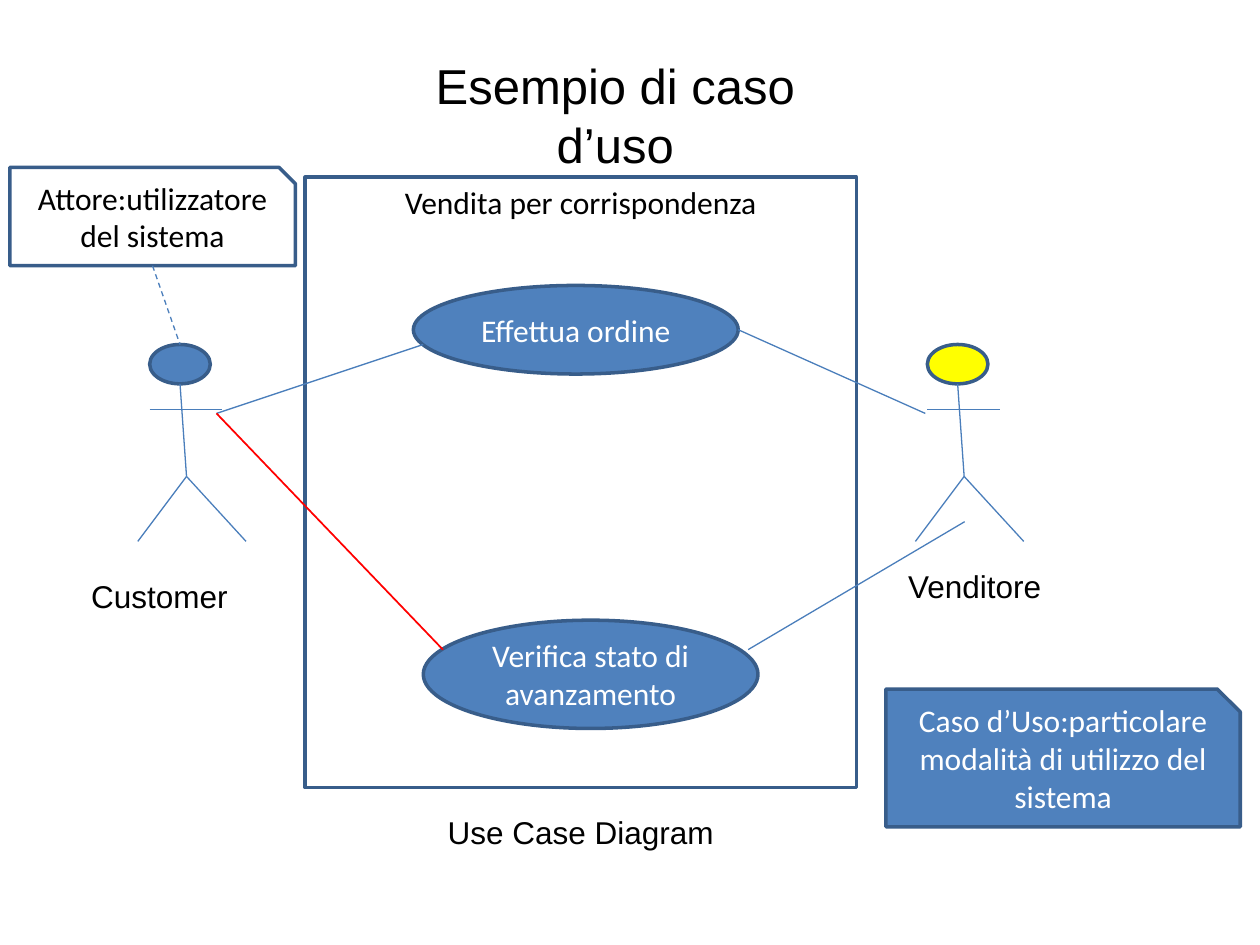
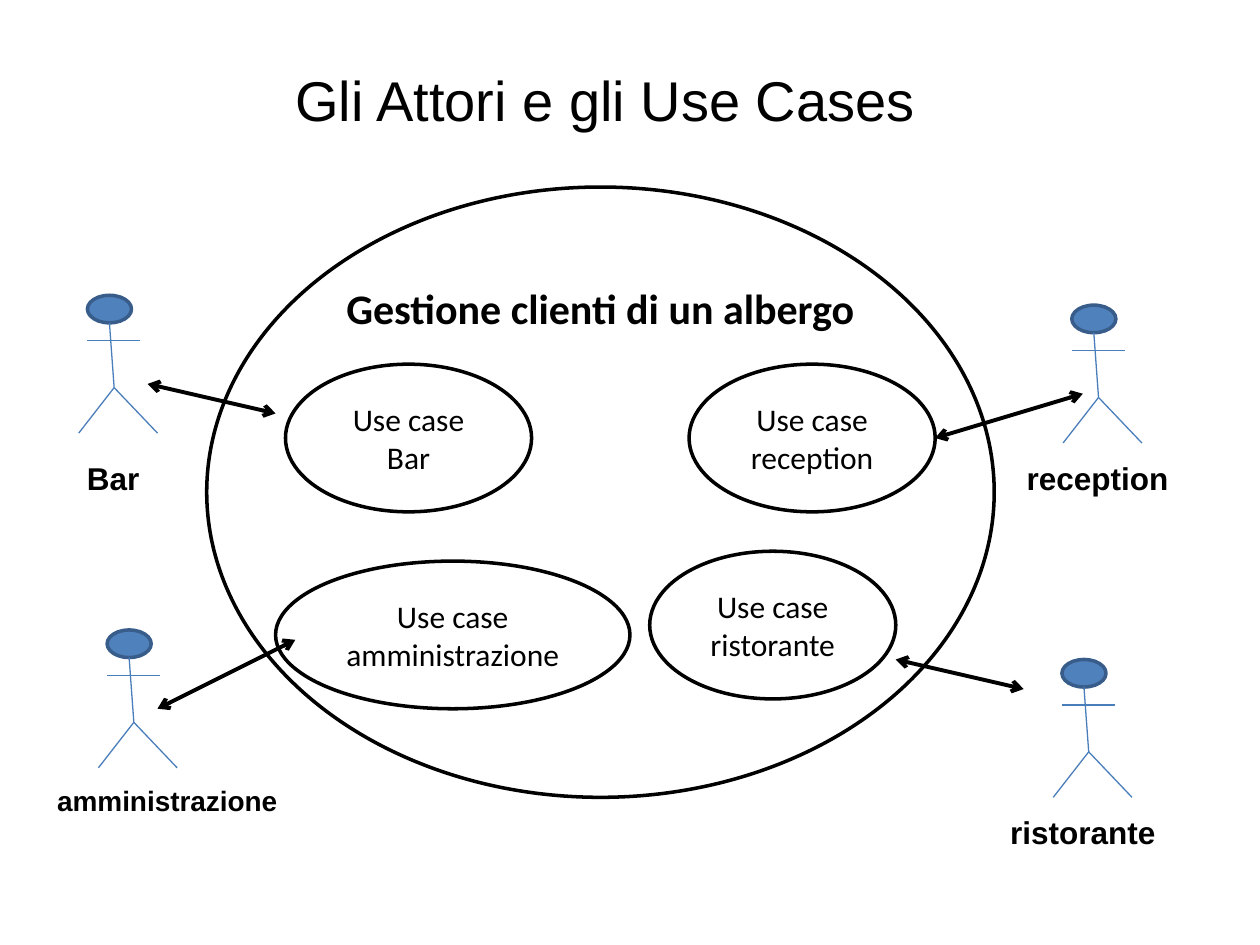
import pptx
import pptx.dml.color
import pptx.enum.dml
import pptx.enum.shapes
import pptx.enum.text
import pptx.oxml
import pptx.oxml.ns
import pptx.util

SLIDE_WIDTH, SLIDE_HEIGHT = pptx.util.Inches(10), pptx.util.Inches(7.5)
COLUMNS = 128  # square grid cells: 128 columns by 96 rows
CELL = SLIDE_WIDTH / COLUMNS
BLACK, WHITE, RED, YELLOW = "000000", "FFFFFF", "FF0000", "FFFF00"
BLUE, DARK_BLUE, LINE_BLUE = "4F81BD", "385D8A", "4A7EBB"
HEADING_FONT, SHAPE_FONT = "Arial", "Calibri"
LABEL_ROWS = 5.1

SHAPES = pptx.enum.shapes.MSO_SHAPE
ALIGN = pptx.enum.text.PP_ALIGN
ANCHOR = pptx.enum.text.MSO_ANCHOR


def grid(*cells):
    """Turn grid counts into slide lengths."""
    return [pptx.util.Emu(round(count * CELL)) for count in cells]


def rgb(color):
    return pptx.dml.color.RGBColor.from_string(color)


def write(shape, text, size=18, font=SHAPE_FONT, color=BLACK, bold=False,
          align=ALIGN.CENTER, anchor=ANCHOR.MIDDLE, wrap=True):
    frame = shape.text_frame
    frame.word_wrap = wrap
    frame.vertical_anchor = anchor
    frame.text = text
    for para in frame.paragraphs:
        para.alignment = align
        para.font.size = pptx.util.Pt(size)
        para.font.name = font
        para.font.bold = bold
        para.font.color.rgb = rgb(color)


def paint(shape, fill=None, line=DARK_BLUE):
    shape.shadow.inherit = False
    if fill:
        shape.fill.solid()
        shape.fill.fore_color.rgb = rgb(fill)
    else:
        shape.fill.background()
    shape.line.color.rgb = rgb(line)
    shape.line.width = pptx.util.Pt(2)


def add_titled_page(deck, title, area, size):
    page = deck.slides.add_slide(deck.slide_layouts[5])
    box = page.shapes.title
    box.left, box.top, box.width, box.height = grid(*area)
    write(box, title, size, HEADING_FONT, anchor=ANCHOR.TOP, wrap=False)
    box.text_frame.auto_size = pptx.enum.text.MSO_AUTO_SIZE.SHAPE_TO_FIT_TEXT
    return page


def add_figure(page, kind, area, text, fill=None, line=DARK_BLUE, **style):
    shape = page.shapes.add_shape(kind, *grid(*area))
    paint(shape, fill, line)
    write(shape, text, **style)
    return shape


def add_note(page, area, text, fill=None, color=BLACK):
    """A rectangle with its upper right corner cut off."""
    left, top, width, height = area
    right, bottom, cut = left + width, top + height, height / 6
    builder = page.shapes.build_freeform(*grid(left, top))
    builder.add_line_segments([
        grid(right - cut, top), grid(right, top + cut),
        grid(right, bottom), grid(left, bottom)])
    note = builder.convert_to_shape()
    paint(note, fill)
    write(note, text, color=color)


def add_line(shapes, start, end, color=LINE_BLUE, width=0.75):
    straight = pptx.enum.shapes.MSO_CONNECTOR.STRAIGHT
    line = shapes.add_connector(straight, *grid(*start, *end))
    line.line.color.rgb = rgb(color)
    line.line.width = pptx.util.Pt(width)
    pptx.oxml.ns  # effect list below removes the theme shadow
    add_element(line._element.spPr, "effectLst")
    return line


def add_element(parent, name, **attributes):
    xml = '<a:%s %s/>' % (name, pptx.oxml.ns.nsdecls("a"))
    child = pptx.oxml.parse_xml(xml)
    for key, value in attributes.items():
        child.set(key, value)
    parent.append(child)


def add_double_arrow(page, start, end):
    line = add_line(page.shapes, start, end, BLACK, 2.25)
    outline = line.line._get_or_add_ln()
    for name in ("headEnd", "tailEnd"):
        add_element(outline, name, type="arrow")


def add_actor(page, area, fill=BLUE):
    """Draw a stick figure and return its head."""
    left, top, width, height = area

    def at(across, down):
        return left + across * width, top + down * height

    group = page.shapes.add_group_shape()
    head = group.shapes.add_shape(
        SHAPES.OVAL, *grid(*at(0.11, 0), 0.56 * width, 0.2 * height))
    paint(head, fill)
    hip = at(0.45, 0.67)
    limbs = [(hip, at(0.39, 0.2)), (at(0.11, 0.33), at(0.78, 0.33)),
             (hip, at(0, 1)), (hip, at(1, 1))]
    for start, end in limbs:
        add_line(group.shapes, start, end)
    return head


def add_label(page, left, top, width, text, size=18, bold=False,
              align=ALIGN.CENTER):
    box = page.shapes.add_textbox(*grid(left, top, width, LABEL_ROWS))
    write(box, text, size, HEADING_FONT, bold=bold, align=align,
          anchor=ANCHOR.TOP)


def build_mail_order(deck):
    page = add_titled_page(deck, "Esempio di caso d’uso",
                           (36.4, 5, 52.2, 7.3), 28)
    customer_head = add_actor(page, (14, 35, 11, 20))
    add_actor(page, (93, 35, 11, 20), YELLOW)
    add_figure(page, SHAPES.RECTANGLE, (31, 18, 56, 62),
               "Vendita per corrispondenza", anchor=ANCHOR.TOP)

    add_note(page, (1, 17, 29, 10), "Attore:utilizzatore del sistema")
    note_link = add_line(page.shapes, (15.5, 27), (18.3, 35))
    note_link.line.dash_style = pptx.enum.dml.MSO_LINE.DASH
    note_link.end_connect(customer_head, 0)

    for area, text in [((42, 29, 33, 9), "Effettua ordine"),
                       ((43, 63, 34, 11), "Verifica stato di avanzamento")]:
        add_figure(page, SHAPES.OVAL, area, text, BLUE, color=WHITE)
    add_note(page, (90, 70, 36, 14),
             "Caso d’Uso:particolare modalità di utilizzo del sistema",
             BLUE, WHITE)

    add_label(page, 8, 58, 17, "Customer", align=ALIGN.LEFT)
    add_label(page, 91, 57, 18, "Venditore", align=ALIGN.LEFT)
    add_line(page.shapes, (22, 42), (43, 35))
    add_line(page.shapes, (45, 66), (22, 42), RED, 1)
    add_line(page.shapes, (76, 66), (98, 53))
    add_line(page.shapes, (94, 42), (75, 33.5))
    add_label(page, 33, 82, 52, "Use Case Diagram")


def build_hotel(deck):
    page = add_titled_page(deck, "Gli Attori e gli Use Cases",
                           (9, 6, 105, 8.2), 32)
    add_figure(page, SHAPES.OVAL, (21, 19, 80, 62),
               "Gestione clienti di un albergo", line=BLACK,
               size=24, bold=True, anchor=ANCHOR.TOP)

    # name, use case (left, top, width), actor (left, top),
    # label (left, top, width, size), arrow (start, end)
    departments = [
        ("Bar", (29, 37, 25), (8, 30), (3, 46, 17, 18),
         ((15, 39), (28, 42))),
        ("reception", (70, 37, 25), (108, 31), (103, 46, 17, 18),
         ((95, 44.5), (110, 40))),
        ("amministrazione", (28, 57, 36), (10, 64), (3, 79, 28, 16),
         ((16, 72), (30, 65))),
        ("ristorante", (66, 56, 25), (107, 67), (100, 82, 20, 18),
         ((91, 67), (104, 70))),
    ]
    for name, use_case, actor, label, arrow in departments:
        add_figure(page, SHAPES.OVAL, (*use_case, 15),
                   "Use case\n" + name, line=BLACK)
        add_actor(page, (*actor, 8, 14))
        left, top, width, size = label
        add_label(page, left, top, width, name, size, bold=True)
        add_double_arrow(page, *arrow)


def main():
    deck = pptx.Presentation()
    deck.slide_width, deck.slide_height = SLIDE_WIDTH, SLIDE_HEIGHT
    build_mail_order(deck)
    build_hotel(deck)
    deck.save("out.pptx")


if __name__ == "__main__":
    main()
